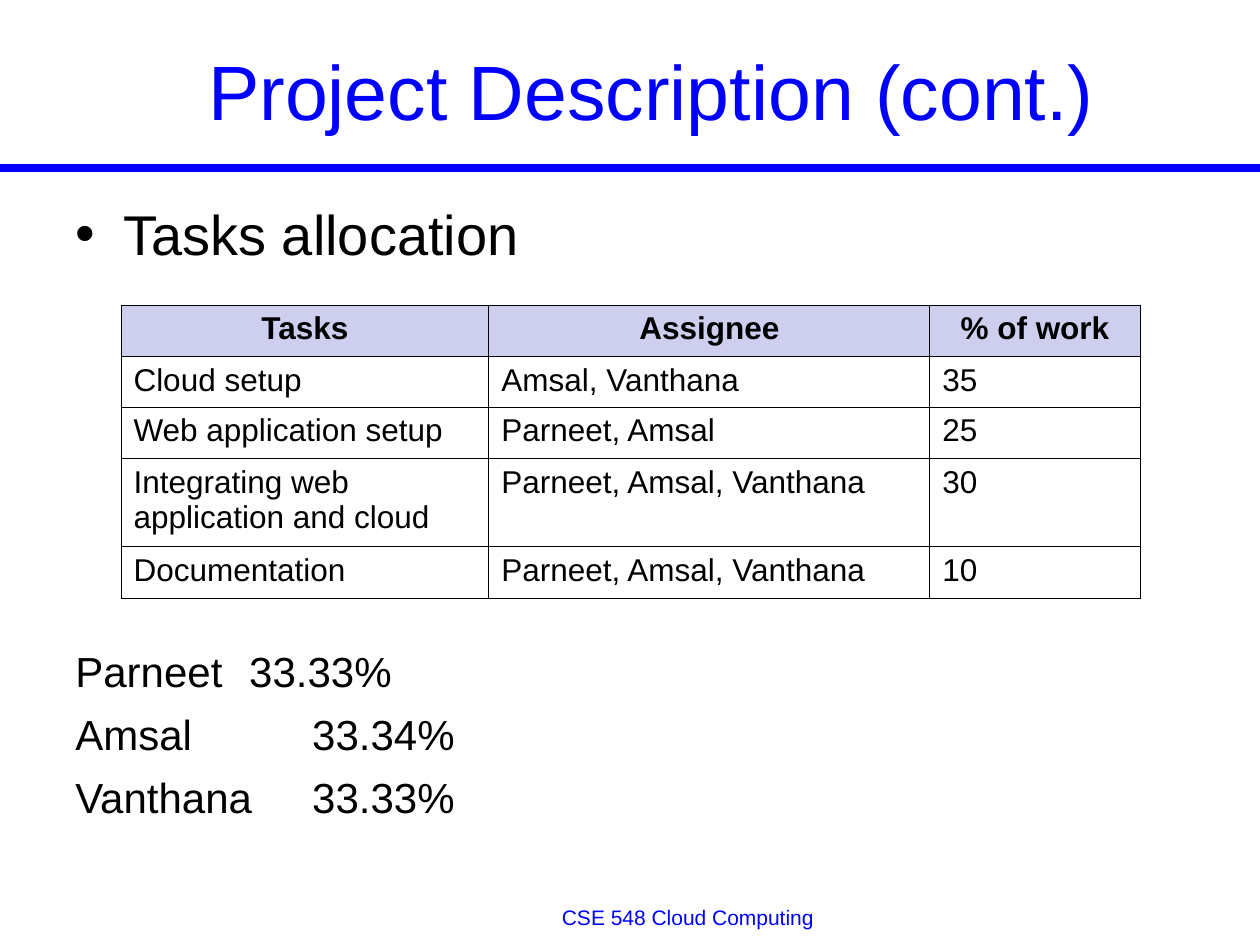
from lxml import etree
from pptx import Presentation
from pptx.dml.color import RGBColor
from pptx.enum.shapes import MSO_CONNECTOR
from pptx.enum.text import MSO_ANCHOR, MSO_AUTO_SIZE, PP_ALIGN
from pptx.oxml.ns import qn
from pptx.util import Inches, Pt

BLUE = RGBColor(0x00, 0x00, 0xFF)
BLACK = RGBColor(0x00, 0x00, 0x00)
LILAC = RGBColor(0xCE, 0xCE, 0xEF)
LEFT, CENTER = PP_ALIGN.LEFT, PP_ALIGN.CENTER
MIDDLE = MSO_ANCHOR.MIDDLE
NO_FIT = MSO_AUTO_SIZE.NONE
STRAIGHT = MSO_CONNECTOR.STRAIGHT
FONT = "Arial"
WIDE, HIGH = Inches(10), Inches(7.5)

COLS = (2.92, 3.5, 1.67)
ROWS = (0.41, 0.4, 0.41, 0.7, 0.41)
TASKS = (
    ("Tasks", "Assignee", "% of work"),
    ("Cloud setup", "Amsal, Vanthana", "35"),
    ("Web application setup", "Parneet, Amsal", "25"),
    ("Integrating web application and cloud", "Parneet, Amsal, Vanthana", "30"),
    ("Documentation", "Parneet, Amsal, Vanthana", "10"),
)
SHARES = ("Parneet\t33.33%", "Amsal\t\t33.34%", "Vanthana\t33.33%")


def place(left, top, width, height):
    return int(WIDE * left), int(HIGH * top), int(WIDE * width), int(HIGH * height)


def style(para, size, color=BLACK, align=LEFT, bold=False):
    para.alignment = align
    font = para.font
    font.name, font.size, font.bold = FONT, Pt(size), bold
    font.color.rgb = color


def add_title(slide, box):
    title = slide.shapes.title
    title.left, title.top, title.width, title.height = box
    frame = title.text_frame
    frame.text = "Project Description (cont.)"
    frame.auto_size = NO_FIT
    frame.vertical_anchor = MIDDLE
    style(frame.paragraphs[0], 44, BLUE, CENTER)


def add_rule(slide, box):
    left, top, width, height = box
    rule = slide.shapes.add_connector(STRAIGHT, left, top, left + width, top + height)
    rule.line.color.rgb = BLUE
    rule.line.width = Pt(4.5)
    etree.SubElement(rule._element.spPr, qn("a:effectLst"))


def add_text(slide, box):
    frame = slide.shapes.add_textbox(*box).text_frame
    frame.word_wrap = True
    return frame


def hang(para, bullet):
    props = para._p.get_or_add_pPr()
    props.set("marL", str(Inches(0.38)))
    props.set("indent", str(-Inches(0.38)))
    if bullet:
        etree.SubElement(props, qn("a:buFont"), typeface=FONT)
        etree.SubElement(props, qn("a:buChar"), char="•")
    else:
        etree.SubElement(props, qn("a:buNone"))
    tabs = etree.SubElement(props, qn("a:tabLst"))
    for stop in range(1, 5):
        etree.SubElement(tabs, qn("a:tab"), pos=str(Inches(stop)), algn="l")


def add_body(slide, box):
    frame = add_text(slide, box)
    head = frame.paragraphs[0]
    head.text = "Tasks allocation"
    hang(head, True)
    style(head, 32)
    for num, share in enumerate(SHARES):
        para = frame.add_paragraph()
        para.text = share
        hang(para, False)
        style(para, 24)
        para.space_before = Pt(7.2 if num else 216)


def add_edges(cell):
    props = cell._tc.get_or_add_tcPr()
    for spot, side in enumerate(("lnL", "lnR", "lnT", "lnB")):
        edge = etree.Element(qn("a:" + side), w=str(Pt(0.45)))
        fill = etree.SubElement(edge, qn("a:solidFill"))
        etree.SubElement(fill, qn("a:srgbClr"), val=str(BLACK))
        props.insert(spot, edge)


def add_tasks(slide, box):
    left, top, width, height = box
    table = slide.shapes.add_table(len(ROWS), len(COLS), *box).table
    table.first_row = table.horz_banding = False
    for col, share in zip(table.columns, COLS):
        col.width = int(width * share / sum(COLS))
    for row, share in zip(table.rows, ROWS):
        row.height = int(height * share / sum(ROWS))
    for num, texts in enumerate(TASKS):
        for cell, text in zip(table.rows[num].cells, texts):
            cell.text = text
            if num:
                cell.fill.background()
                style(cell.text_frame.paragraphs[0], 18)
            else:
                cell.fill.solid()
                cell.fill.fore_color.rgb = LILAC
                style(cell.text_frame.paragraphs[0], 18, BLACK, CENTER, True)
            add_edges(cell)


def add_footer(slide, box):
    para = add_text(slide, box).paragraphs[0]
    para.text = "CSE 548 Cloud Computing"
    style(para, 12, BLUE, CENTER)
    para.line_spacing = 0.8
    para.space_before, para.space_after = Pt(4.5), Pt(1.5)


def main():
    deck = Presentation()
    deck.slide_width, deck.slide_height = WIDE, HIGH
    slide = deck.slides.add_slide(deck.slide_layouts.get_by_name("Title Only"))
    add_rule(slide, place(0, 0.1778, 1, 0))
    add_footer(slide, place(0.192, 0.956, 0.708, 0.035))
    add_title(slide, place(0.067, 0.023, 0.9, 0.144))
    add_body(slide, place(0.05, 0.205, 0.9, 0.706))
    add_tasks(slide, place(0.096, 0.3227, 0.809, 0.31))
    deck.save("out.pptx")


if __name__ == "__main__":
    main()
